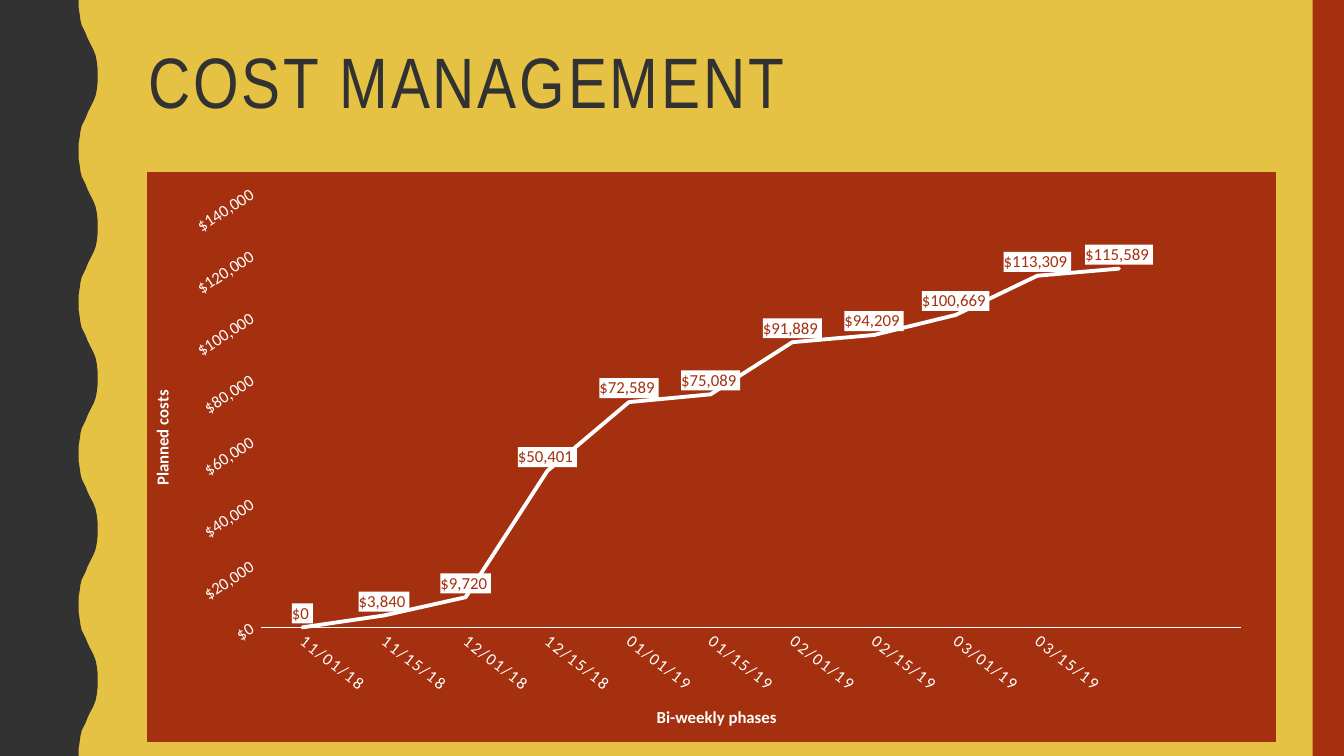
from dataclasses import dataclass

from lxml.etree import SubElement
from pptx import Presentation
from pptx.chart.chart import Chart
from pptx.chart.data import CategoryChartData
from pptx.dml.color import RGBColor
from pptx.dml.fill import FillFormat
from pptx.enum.chart import XL_CHART_TYPE, XL_LABEL_POSITION, XL_TICK_MARK
from pptx.enum.shapes import MSO_SHAPE
from pptx.enum.text import MSO_ANCHOR, MSO_AUTO_SIZE, PP_ALIGN
from pptx.oxml import parse_xml
from pptx.oxml.ns import nsdecls, qn
from pptx.slide import Slide
from pptx.text.text import Font
from pptx.util import Cm, Pt

YELLOW = "E5C243"
RED = "A5300F"
CHARCOAL = "323232"
WHITE = "FFFFFF"
DOLLARS = '"$"#,##0'
PADDED_DOLLARS = '"$"#,##0_)'
DATES = "mm/dd/yy"

SLIDE_WIDTH = 33.87
SLIDE_HEIGHT = 19.05
CHART_WIDTH = 28.45
CHART_HEIGHT = 14.37
HALF_WAVES = 10
HALF_WAVE_HEIGHT = SLIDE_HEIGHT / HALF_WAVES
HALF_WAVE = [
    (1.98, 0), (1.98, 0.18), (2.01, 0.36), (2.03, 0.51), (2.06, 0.64),
    (2.11, 0.74), (2.16, 0.84), (2.21, 0.97), (2.26, 1.07), (2.31, 1.17),
    (2.36, 1.27), (2.41, 1.4), (2.44, 1.55), (2.46, 1.73), (2.46, HALF_WAVE_HEIGHT),
]

PHASE_DATES = [43405, 43419, 43435, 43449, 43466, 43480, 43497, 43511, 43525, 43539]
PLANNED_COSTS = [0, 3840, 9720, 50401, 72589, 75089, 91889, 94209, 100669,
                 113309, 115589, None]


@dataclass
class AxisStyle:
    tag: str
    title: str
    title_left: float
    title_top: float
    title_angle: int
    label_angle: int
    label_spacing: int
    number_format: str


CATEGORY_STYLE = AxisStyle("c:catAx", "Bi-weekly phases", 12.76, 13.39, 0, 38, 120, DATES)
VALUE_STYLE = AxisStyle("c:valAx", "Planned costs", 0, 5.42, -90, -33, 0, DOLLARS)


def color(hex_value: str) -> RGBColor:
    return RGBColor.from_string(hex_value)


def paint(fill: FillFormat, hex_value: str) -> None:
    fill.solid()
    fill.fore_color.rgb = color(hex_value)


def style_font(font: Font, name: str, size: float, hex_value: str, bold: bool = False) -> None:
    font.name = name
    font.size = Pt(size)
    font.bold = bold
    font.color.rgb = color(hex_value)


def set_layout(parent, index: int, left: float, top: float, **settings) -> None:
    for old_layout in parent.findall(qn("c:layout")):
        parent.remove(old_layout)
    layout = parse_xml(f"<c:layout {nsdecls('c')}/>")
    manual = SubElement(layout, qn("c:manualLayout"))
    target = {"layoutTarget": "inner"} if settings else {}
    position = {"xMode": "edge", "yMode": "edge",
                "x": left / CHART_WIDTH, "y": top / CHART_HEIGHT}
    for name, value in {**target, **position, **settings}.items():
        SubElement(manual, qn(f"c:{name}")).set("val", str(value))
    parent.insert(index, layout)


def fill_before(text_properties, hex_value: str, border: str = "") -> None:
    text_properties.addprevious(parse_xml(
        f"<c:spPr {nsdecls('c', 'a')}><a:solidFill><a:srgbClr val=\"{hex_value}\"/>"
        f"</a:solidFill>{border}</c:spPr>"))


def draw_wave(slide: Slide) -> None:
    points = [(0, 0)]
    for index in range(HALF_WAVES):
        half = HALF_WAVE
        if index % 2:
            half = [(x, HALF_WAVE_HEIGHT - y) for x, y in reversed(HALF_WAVE)]
        points += [(x, y + index * HALF_WAVE_HEIGHT) for x, y in half]
    points.append((0, SLIDE_HEIGHT))
    builder = slide.shapes.build_freeform(0, 0)
    builder.add_line_segments([(Cm(x), Cm(y)) for x, y in points[1:]], close=True)
    wave = builder.convert_to_shape()
    wave.shadow.inherit = False
    paint(wave.fill, CHARCOAL)
    wave.line.fill.background()


def draw_side_bar(slide: Slide) -> None:
    bar = slide.shapes.add_shape(
        MSO_SHAPE.RECTANGLE, Cm(33.08), 0, Cm(0.79), Cm(SLIDE_HEIGHT))
    bar.shadow.inherit = False
    paint(bar.fill, RED)
    bar.line.fill.background()


def write_title(slide: Slide) -> None:
    title = slide.shapes.title
    title.left, title.top, title.width, title.height = Cm(3.48), Cm(1.05), Cm(28.27), Cm(2.77)
    frame = title.text_frame
    frame.text = "COST MANAGEMENT"
    frame.vertical_anchor = MSO_ANCHOR.TOP
    frame.auto_size = MSO_AUTO_SIZE.NONE
    paragraph = frame.paragraphs[0]
    paragraph.alignment = PP_ALIGN.LEFT
    paragraph.line_spacing = 0.9
    style_font(paragraph.font, "Arial Narrow", 51, CHARCOAL)
    title.element.xpath(".//a:defRPr")[0].set("spc", "200")


def style_axis(chart: Chart, axis, style: AxisStyle) -> None:
    axis.has_major_gridlines = False
    axis.major_tick_mark = XL_TICK_MARK.NONE
    axis.minor_tick_mark = XL_TICK_MARK.NONE
    labels = axis.tick_labels
    labels.number_format = style.number_format
    labels.number_format_is_linked = False
    style_font(labels.font, "Calibri", 12, WHITE)
    frame = axis.axis_title.text_frame
    frame.text = style.title
    style_font(frame.paragraphs[0].font, "Calibri", 12, WHITE, bold=True)

    element = chart.element.xpath(f".//{style.tag}")[0]
    label_body = element.xpath("c:txPr/a:bodyPr")[0]
    label_body.set("rot", str(style.label_angle * 60000))
    label_body.set("vert", "horz")
    element.xpath("c:txPr//a:defRPr")[0].set("spc", str(style.label_spacing))
    title = element.xpath("c:title")[0]
    title_body = title.xpath(".//a:bodyPr")[0]
    title_body.set("rot", str(style.title_angle * 60000))
    title_body.set("vert", "horz")
    set_layout(title, 1, style.title_left, style.title_top)


def draw_cost_chart(slide: Slide) -> None:
    data = CategoryChartData(number_format=DOLLARS)
    data.categories = PHASE_DATES
    data.categories.number_format = DATES
    data.add_series("Series 1", PLANNED_COSTS)
    chart = slide.shapes.add_chart(
        XL_CHART_TYPE.LINE, Cm(3.71), Cm(4.33), Cm(CHART_WIDTH), Cm(CHART_HEIGHT), data).chart
    chart.has_title = False
    chart.has_legend = False
    style_font(chart.font, "Calibri", 10, "000000")
    border = f'<a:ln w="9525"><a:solidFill><a:srgbClr val="{RED}"/></a:solidFill></a:ln>'
    fill_before(chart.element.xpath("c:txPr")[0], RED, border)

    style_axis(chart, chart.category_axis, CATEGORY_STYLE)
    chart.category_axis.format.line.color.rgb = color(WHITE)
    chart.category_axis.format.line.width = Pt(1)
    for automatic in chart.element.xpath(".//c:catAx/c:auto"):
        automatic.set("val", "0")
    style_axis(chart, chart.value_axis, VALUE_STYLE)
    chart.value_axis.format.line.fill.background()
    chart.value_axis.minimum_scale = 0
    chart.value_axis.maximum_scale = 140000
    chart.value_axis.major_unit = 20000

    plot = chart.plots[0]
    plot.vary_by_categories = False
    series = plot.series[0]
    series.smooth = False
    series.format.line.color.rgb = color(WHITE)
    series.format.line.width = Pt(2.75)
    chart.element.xpath(".//c:ser/c:spPr/a:ln")[0].set("cap", "rnd")
    labels = series.data_labels
    labels.show_value = True
    labels.number_format = PADDED_DOLLARS
    labels.number_format_is_linked = False
    labels.position = XL_LABEL_POSITION.ABOVE
    style_font(labels.font, "Calibri", 12, RED)
    fill_before(chart.element.xpath(".//c:ser/c:dLbls/c:txPr")[0], WHITE)
    set_layout(chart.element.xpath(".//c:plotArea")[0], 0, 2.87, 0.52,
               w=24.72 / CHART_WIDTH, h=10.97 / CHART_HEIGHT)


def main() -> None:
    presentation = Presentation()
    presentation.slide_width = Cm(SLIDE_WIDTH)
    presentation.slide_height = Cm(SLIDE_HEIGHT)
    slide = presentation.slides.add_slide(presentation.slide_layouts[5])
    paint(slide.background.fill, YELLOW)
    draw_wave(slide)
    draw_side_bar(slide)
    write_title(slide)
    draw_cost_chart(slide)
    presentation.save("out.pptx")


if __name__ == "__main__":
    main()
